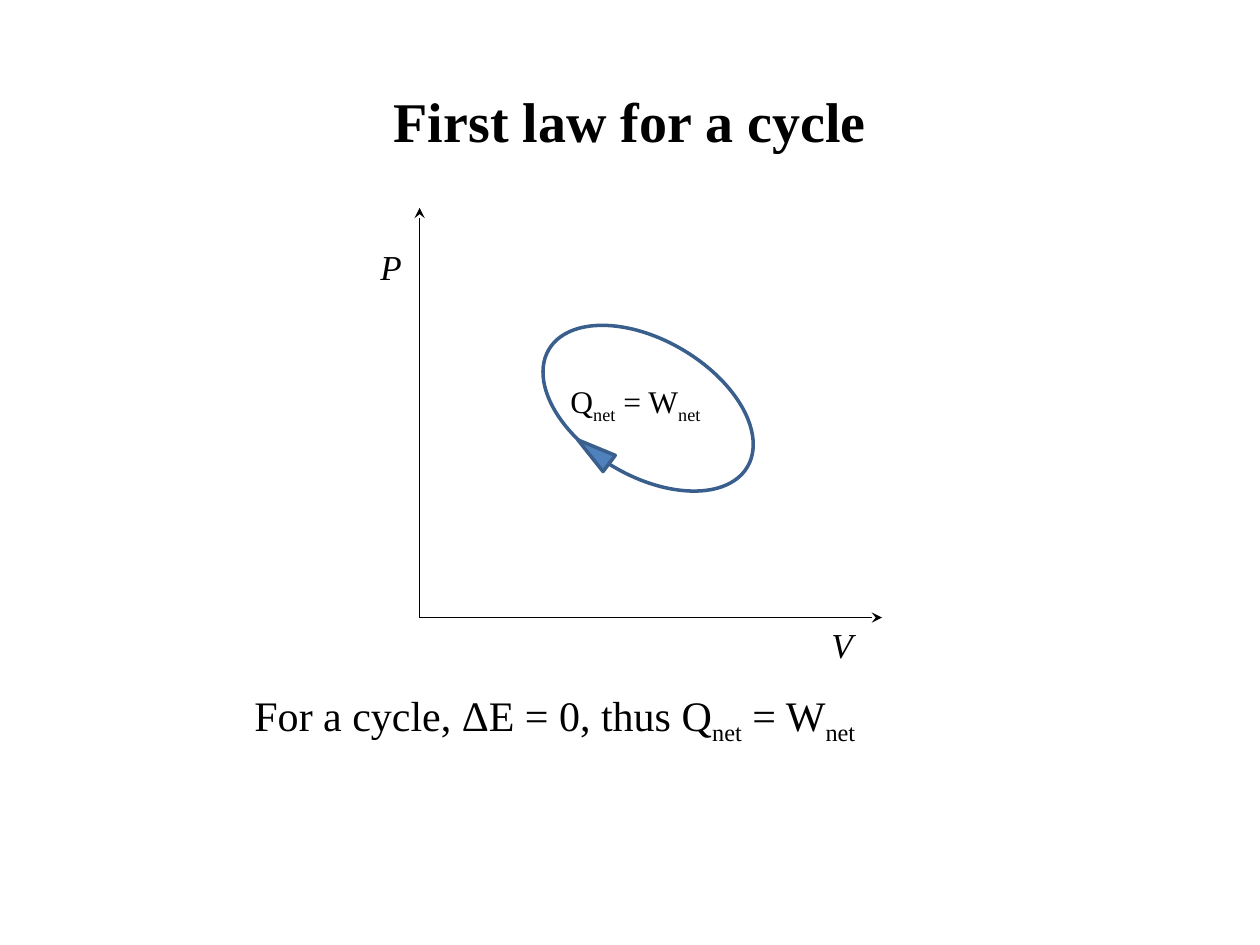
from pptx import Presentation
from pptx.dml.color import RGBColor
from pptx.enum.shapes import MSO_CONNECTOR as Connector, MSO_SHAPE as Shape
from pptx.enum.text import PP_ALIGN as Align
from pptx.oxml.ns import qn
from pptx.util import Cm, Pt
from lxml.etree import SubElement

BLACK = RGBColor(0x00, 0x00, 0x00)
BLUE = RGBColor(0x4F, 0x81, 0xBD)
DARK_BLUE = RGBColor(0x3A, 0x5F, 0x8C)
FONT = "Times New Roman"


def add_label(slide, box, parts, size, bold=False, italic=False, align=Align.LEFT):
    """Write a line of text in which every second part is a subscript."""
    frame = slide.shapes.add_textbox(*map(Cm, box)).text_frame
    frame.word_wrap = True
    paragraph = frame.paragraphs[0]
    paragraph.alignment = align
    for index, part in enumerate(parts):
        run = paragraph.add_run()
        run.text = part
        font = run.font
        font.name, font.size = FONT, Pt(size)
        font.bold, font.italic = bold, italic
        font.color.rgb = BLACK
        if index % 2:
            font._element.set("baseline", "-25000")
    return frame


def add_axis(slide, start, end):
    """Draw a thin axis with a stealth arrowhead at its end."""
    axis = slide.shapes.add_connector(Connector.STRAIGHT, *map(Cm, start + end))
    axis.line.color.rgb = BLACK
    axis.line.width = Pt(0.75)
    SubElement(axis.line._get_or_add_ln(), qn("a:tailEnd"), type="stealth")
    SubElement(axis._element.spPr, qn("a:effectLst"))


def add_outlined(slide, kind, box, rotation, fill=None):
    """Add a rotated shape with the dark blue outline of the cycle."""
    shape = slide.shapes.add_shape(kind, *map(Cm, box))
    shape.rotation = rotation
    shape.shadow.inherit = False
    shape.line.color.rgb = DARK_BLUE
    shape.line.width = Pt(2)
    if fill is None:
        shape.fill.background()
    else:
        shape.fill.solid()
        shape.fill.fore_color.rgb = fill


def add_title(slide, box):
    """Place the centred slide title."""
    frame = add_label(slide, box, ["First law for a cycle"], 32, bold=True, align=Align.CENTER)
    frame.margin_top = Cm(0.28)


def add_pv_diagram(slide, box):
    """Draw the pressure-volume axes with the closed cycle inside the box."""
    left, top, width, height = box
    origin = (left + 1.04, top + 8.26)
    add_axis(slide, origin, (left + width, origin[1]))
    add_axis(slide, origin, (origin[0], top))
    add_outlined(slide, Shape.OVAL, (left + 3.32, top + 2.67, 4.65, 2.74), 30.6)
    add_label(slide, (left + 3.83, top + 3.38, 3.61, 1.02), ["Q", "net", " = W", "net"], 18)
    add_label(slide, (left, top + 0.64, 0.84, 1.12), ["P"], 20, italic=True)
    add_label(slide, (left + 9.09, origin[1], 0.84, height - 8.26), ["V"], 20, italic=True)
    add_outlined(slide, Shape.ISOSCELES_TRIANGLE, (left + 4.34, top + 4.52, 0.41, 0.79), 307, BLUE)


def add_conclusion(slide, box):
    """State the first law for the cycle below the diagram."""
    add_label(slide, box, ["For a cycle, ΔE = 0, thus Q", "net", " = W", "net"], 24)


def main():
    """Build the slide and save it."""
    deck = Presentation()
    deck.slide_width, deck.slide_height = Cm(25.4), Cm(19.05)
    slide = deck.slides.add_slide(deck.slide_layouts[6])
    add_title(slide, (1.27, 1.47, 22.86, 2.46))
    add_pv_diagram(slide, (7.42, 4.19, 10.36, 9.38))
    add_conclusion(slide, (4.88, 13.77, 16.31, 1.27))
    deck.save("out.pptx")


if __name__ == "__main__":
    main()
